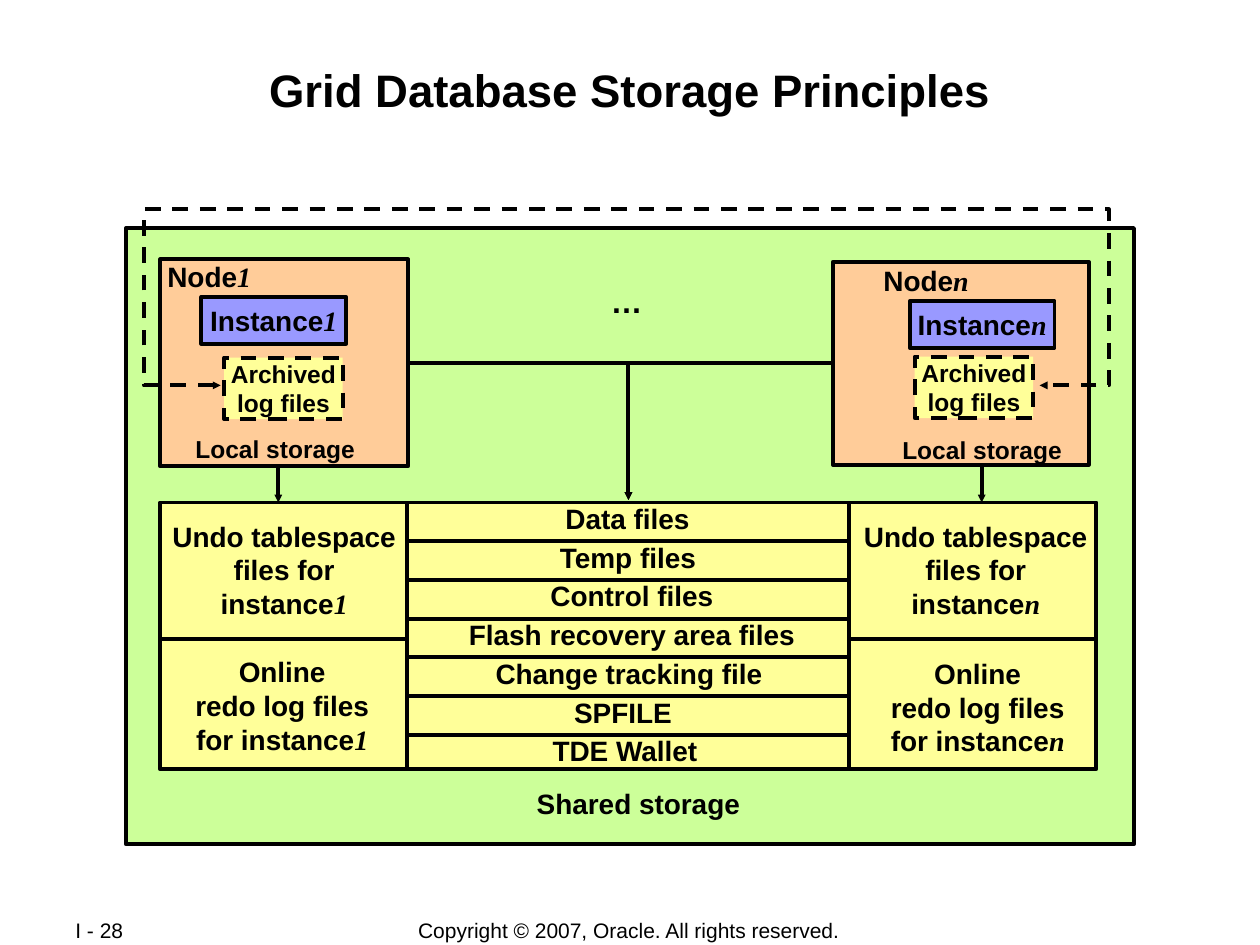
from lxml import etree
from pptx import Presentation
from pptx.dml.color import RGBColor
from pptx.enum.dml import MSO_LINE
from pptx.enum.shapes import MSO_CONNECTOR as Conn, MSO_SHAPE as Shp
from pptx.enum.text import MSO_ANCHOR as Anchor, MSO_AUTO_SIZE as Fit, PP_ALIGN as Align
from pptx.oxml.ns import qn
from pptx.util import Cm, Pt

THEME = {
    "ink": "000000", "storage": "CCFF99", "node": "FFCC99",
    "instance": "9999FF", "files": "FFFF99",
    "font": "Arial", "suffix_font": "Times New Roman", "line": 2.25,
    "title": 26, "dots": 18, "body": 16, "small": 14, "footer": 12,
}

# All positions are in cm; boxes are (left, top, width, height).
TITLE = "Grid Database Storage Principles"
STORAGE = (2.54, 4.6, 20.32, 12.42)
FILES = (3.23, 10.13, 18.87, 5.38)
COLUMNS = (8.2, 17.12)
SIDE_SPLIT = 12.88
ROW_PITCH = 0.78
MIDDLE = 12.67
LINK_Y = 7.32

# Text and centre of each label, by node
NODES = [
    {"suffix": "1", "box": (3.23, 5.23, 5.0, 4.17), "name": (4.22, 5.58),
     "instance": (4.06, 5.99, 2.92, 0.94), "archive": (4.52, 7.21, 2.39, 1.24),
     "local": (5.55, 9.04), "undo": (5.73, 11.48), "redo": (5.69, 14.22),
     "arrow": 5.61, "side": (3.23, 8.2)},
    {"suffix": "n", "box": (16.79, 5.28, 5.16, 4.09), "name": (18.67, 5.65),
     "instance": (18.34, 6.07, 2.92, 0.94), "archive": (18.44, 7.19, 2.39, 1.24),
     "local": (19.8, 9.07), "undo": (19.67, 11.48), "redo": (19.71, 14.25),
     "arrow": 19.79, "side": (17.12, 22.1)},
]
# Shared files with the centre of each label
SHARED_FILES = [
    ("Data files", 12.65), ("Temp files", 12.66), ("Control files", 12.74),
    ("Flash recovery area files", 12.74), ("Change tracking file", 12.68),
    ("SPFILE", 12.56), ("TDE Wallet", 12.6),
]
ARCHIVE_LINK = [(4.45, 7.77), (2.9, 7.77), (2.9, 4.22),
                (22.35, 4.22), (22.35, 7.77), (20.96, 7.77)]


def color(name):
    return RGBColor.from_string(THEME[name])


def write(tf, text, size="body", suffix="", bold=True, align=Align.CENTER, **frame):
    """Fill a text frame; the suffix is set in italic serif."""
    settings = {"word_wrap": False, "auto_size": Fit.NONE,
                "vertical_anchor": Anchor.MIDDLE, **frame}
    for key, value in settings.items():
        setattr(tf, key, value)
    p = tf.paragraphs[0]
    p.alignment, p.space_before = align, Pt(0)
    runs = [(line, "font", False) for line in text.split("\n")]
    if suffix:
        runs.append((suffix, "suffix_font", True))
    for i, (part, font, italic) in enumerate(runs):
        if i and not italic:
            p.add_line_break()
        r = p.add_run()
        r.text = part
        style = {"name": THEME[font], "size": Pt(THEME[size]), "bold": bold, "italic": italic}
        for key, value in style.items():
            setattr(r.font, key, value)
        r.font.color.rgb = color("ink")


def label(shapes, text, center, size="body", suffix="", width=5.0, height=0.94):
    x, y = center
    s = shapes.add_textbox(Cm(x - width / 2), Cm(y - height / 2), Cm(width), Cm(height))
    write(s.text_frame, text, size, suffix)


def outline(s, dashed=False):
    s.line.color.rgb = color("ink")
    s.line.width = Pt(THEME["line"])
    if dashed:
        s.line.dash_style = MSO_LINE.DASH


def box(shapes, place, fill, dashed=False):
    s = shapes.add_shape(Shp.RECTANGLE, *map(Cm, place))
    s.shadow.inherit = False
    s.fill.solid()
    s.fill.fore_color.rgb = color(fill)
    outline(s, dashed)
    return s


def arrowheads(s, *ends):
    ln = s.line._get_or_add_ln()
    for end in ends:
        etree.SubElement(ln, qn("a:" + end), type="triangle", w="sm", len="sm")


def connect(shapes, start, end, arrow=False, bent=False):
    kind = Conn.ELBOW if bent else Conn.STRAIGHT
    s = shapes.add_connector(kind, *map(Cm, start + end))
    sp_pr = s._element.spPr
    if bent:
        sp_pr.find(qn("a:prstGeom")).set("prst", "bentConnector2")
    outline(s)
    if arrow:
        arrowheads(s, "tailEnd")
    etree.SubElement(sp_pr, qn("a:effectLst"))


def draw_node(shapes, node):
    suffix = node["suffix"]
    left, right = node["side"]
    connect(shapes, (node["arrow"], 6.6), (node["arrow"], FILES[1]), arrow=True)
    box(shapes, node["box"], "node")
    label(shapes, "Node", node["name"], suffix=suffix, width=2.2)
    write(box(shapes, node["instance"], "instance").text_frame, "Instance", suffix=suffix)
    archive = box(shapes, node["archive"], "files", dashed=True)
    write(archive.text_frame, "Archived\nlog files", "small")
    label(shapes, "Local storage", node["local"], "small")
    label(shapes, "Undo tablespace\nfiles for\ninstance", node["undo"], suffix=suffix, height=2.29)
    label(shapes, "Online\nredo log files\nfor instance", node["redo"], suffix=suffix, height=2.29)
    connect(shapes, (left, SIDE_SPLIT), (right, SIDE_SPLIT))


def draw_shared_files(shapes):
    left, right = COLUMNS
    top, bottom = FILES[1], FILES[1] + FILES[3]
    for x in COLUMNS:
        connect(shapes, (x, top), (x, bottom))
    for i, (text, x) in enumerate(SHARED_FILES):
        y = top + i * ROW_PITCH
        if i:
            connect(shapes, (left, y), (right, y))
        label(shapes, text, (x, y + 0.32), width=7.5)
    label(shapes, "Shared storage", (12.87, 16.19))


def draw_archive_link(shapes):
    points = [(Cm(x), Cm(y)) for x, y in ARCHIVE_LINK]
    builder = shapes.build_freeform(*points[0], scale=1.0)
    builder.add_line_segments(points[1:], close=False)
    s = builder.convert_to_shape()
    s.shadow.inherit = False
    s.fill.background()
    outline(s, dashed=True)
    arrowheads(s, "headEnd", "tailEnd")


def main():
    prs = Presentation()
    prs.slide_width, prs.slide_height = Cm(25.4), Cm(19.05)
    slide = prs.slides.add_slide(prs.slide_layouts[5])
    shapes = slide.shapes

    title = shapes.title
    title.left, title.top, title.width, title.height = map(Cm, (1.7, 1.22, 22.0, 2.44))
    margins = {"margin_" + side: Cm(0.03) for side in ("left", "top", "right", "bottom")}
    write(title.text_frame, TITLE, "title", word_wrap=True,
          vertical_anchor=Anchor.TOP, **margins)

    for text, place, align in [
        ("Copyright © 2007, Oracle. All rights reserved.", (6.98, 18.49, 11.4, 0.53), Align.CENTER),
        ("I - 28", (1.27, 18.49, 2.69, 0.53), Align.LEFT),
    ]:
        s = shapes.add_textbox(*map(Cm, place))
        write(s.text_frame, text, "footer", bold=False, align=align, word_wrap=True,
              margin_top=0, margin_bottom=0)

    box(shapes, STORAGE, "storage")
    box(shapes, FILES, "files")
    for node in NODES:
        draw_node(shapes, node)
    label(shapes, "…", (MIDDLE - 0.04, 6.07), "dots", width=1.14)
    for x in (8.23, 16.79):
        connect(shapes, (x, LINK_Y), (MIDDLE, 10.08), arrow=True, bent=True)
    draw_archive_link(shapes)
    draw_shared_files(shapes)
    prs.save("out.pptx")


if __name__ == "__main__":
    main()
